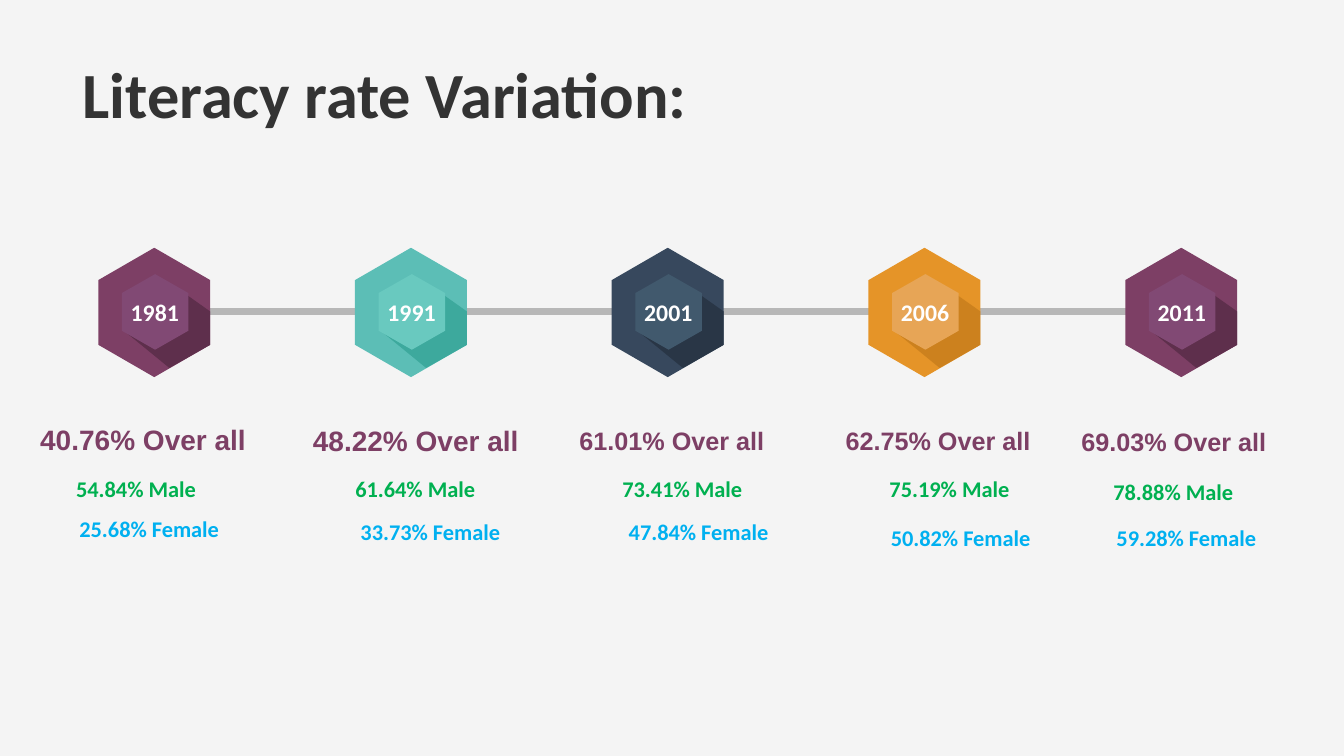
from lxml import etree
from pptx import Presentation
from pptx.dml.color import RGBColor
from pptx.enum.shapes import MSO_CONNECTOR
from pptx.enum.text import MSO_ANCHOR, PP_ALIGN
from pptx.oxml.ns import qn
from pptx.util import Pt

STRAIGHT = MSO_CONNECTOR.STRAIGHT
MIDDLE = MSO_ANCHOR.MIDDLE
LEFT, CENTER = PP_ALIGN.LEFT, PP_ALIGN.CENTER

PLUM, GREEN, BLUE = "7D3F65", "00B050", "00B0F0"
PLUM_HEXAGON = (PLUM, "5E2F4C", "814974")
FIRST_X, STEP, MID_Y = 110.2, 183.4, 223.2

# Shadow outline, measured from the centre of its hexagon
SHADOW = [(23.8, -12.2), (40, -0.7), (40, 23.1), (10.8, 39.6),
          (-20.9, 13.7), (0.7, 26.1), (23, 13)]

# year, (outer, shadow, inner) colours, shadow opacity in percent
MILESTONES = [
    ("1981", PLUM_HEXAGON, 100),
    ("1991", ("5CBEB6", "3DA99D", "69C9BF"), 100),
    ("2001", ("37485D", "293646", "41596D"), 100),
    ("2006", ("E59428", "B47016", "E7A556"), 50),
    ("2011", PLUM_HEXAGON, 100),
]

# text, centre x, centre y, size
OVERALL = [
    ("40.76% Over all", 102.2, 313.6, 20),
    ("48.22% Over all", 297, 314.6, 20),
    ("61.01% Over all", 479.9, 314.6, 18),
    ("62.75% Over all", 670, 314.6, 18),
    ("69.03% Over all", 838.4, 315.4, 18),
]
MALE = [
    ("54.84% Male", 97.2, 349.2, 16),
    ("61.64% Male", 296.6, 349.2, 16),
    ("73.41% Male", 487.4, 349.2, 16),
    ("75.19% Male", 678.2, 349.2, 16),
    ("78.88% Male", 838.1, 351.4, 16),
]
FEMALE = [
    ("25.68% Female", 106.6, 377.6, 16),
    ("33.73% Female", 307.4, 379.8, 16),
    ("47.84% Female", 499, 379.8, 16),
    ("50.82% Female", 686.2, 384.1, 16),
    ("59.28% Female", 847.4, 384.1, 16),
]


def rgb(color):
    return RGBColor.from_string(color)


def hexagon(cx, cy, half_width, half_height):
    """Corner points of an upright hexagon."""
    w, h = half_width, half_height
    corners = [(0, -h), (w, -h / 2), (w, h / 2), (0, h), (-w, h / 2), (-w, -h / 2)]
    return [(cx + x, cy + y) for x, y in corners]


class Deck:
    font = "Calibri"

    def __init__(self, background):
        self.prs = Presentation()
        self.prs.slide_width, self.prs.slide_height = Pt(960), Pt(540)
        self.s = self.prs.slides.add_slide(self.prs.slide_layouts[6])
        fill = self.s.background.fill
        fill.solid()
        fill.fore_color.rgb = rgb(background)

    def line(self, x1, y1, x2, y2, color, width):
        c = self.s.shapes.add_connector(STRAIGHT, Pt(x1), Pt(y1), Pt(x2), Pt(y2))
        c.line.color.rgb = rgb(color)
        c.line.width = Pt(width)
        etree.SubElement(c._element.spPr, qn("a:effectLst"))

    def polygon(self, points, color, opacity=100):
        start, *rest = [(Pt(x), Pt(y)) for x, y in points]
        builder = self.s.shapes.build_freeform(*start)
        builder.add_line_segments(rest, close=True)
        sp = builder.convert_to_shape()
        sp.shadow.inherit = False
        sp.fill.solid()
        sp.fill.fore_color.rgb = rgb(color)
        sp.line.fill.background()
        if opacity < 100:
            clr = sp._element.spPr.find(".//" + qn("a:srgbClr"))
            etree.SubElement(clr, qn("a:alpha"), val=str(opacity * 1000))

    def text(self, text, cx, cy, width, height, size, color, font=None, align=CENTER):
        """Bold one-line label centred on (cx, cy)."""
        sp = self.s.shapes.add_textbox(
            Pt(cx - width / 2), Pt(cy - height / 2), Pt(width), Pt(height))
        tf = sp.text_frame
        tf.word_wrap = True
        tf.vertical_anchor = MIDDLE
        tf.margin_left = tf.margin_right = tf.margin_top = tf.margin_bottom = Pt(2)
        p = tf.paragraphs[0]
        p.text = text
        p.alignment = align
        p.font.name = font or self.font
        p.font.size = Pt(size)
        p.font.bold = True
        p.font.color.rgb = rgb(color)

    def milestone(self, cx, cy, year, colors, opacity):
        outer, shadow, inner = colors
        self.polygon(hexagon(cx, cy, 40, 46.2), outer)
        self.polygon([(cx + x, cy + y) for x, y in SHADOW], shadow, opacity)
        self.polygon(hexagon(cx + 0.6, cy - 0.4, 23.7, 27), inner)
        self.text(year, cx + 0.4, cy - 0.6, 45.4, 24.5, 17, "FFFFFF")


def main():
    deck = Deck("F4F4F4")
    deck.text("Literacy rate Variation:", 311, 66.2, 508, 63, 46, "333333", align=LEFT)

    deck.line(143.3, 222.5, 812.9, 222.5, "B7B7B7", 5)
    for i, (year, colors, opacity) in enumerate(MILESTONES):
        deck.milestone(FIRST_X + i * STEP, MID_Y, year, colors, opacity)

    for rates, color, font, width, height in (
            (OVERALL, PLUM, "Arial", 165, 30),
            (MALE, GREEN, "Calibri", 124, 22),
            (FEMALE, BLUE, "Calibri", 130, 26)):
        for label, cx, cy, size in rates:
            deck.text(label, cx, cy, width, height, size, color, font)

    deck.prs.save("out.pptx")


if __name__ == "__main__":
    main()
